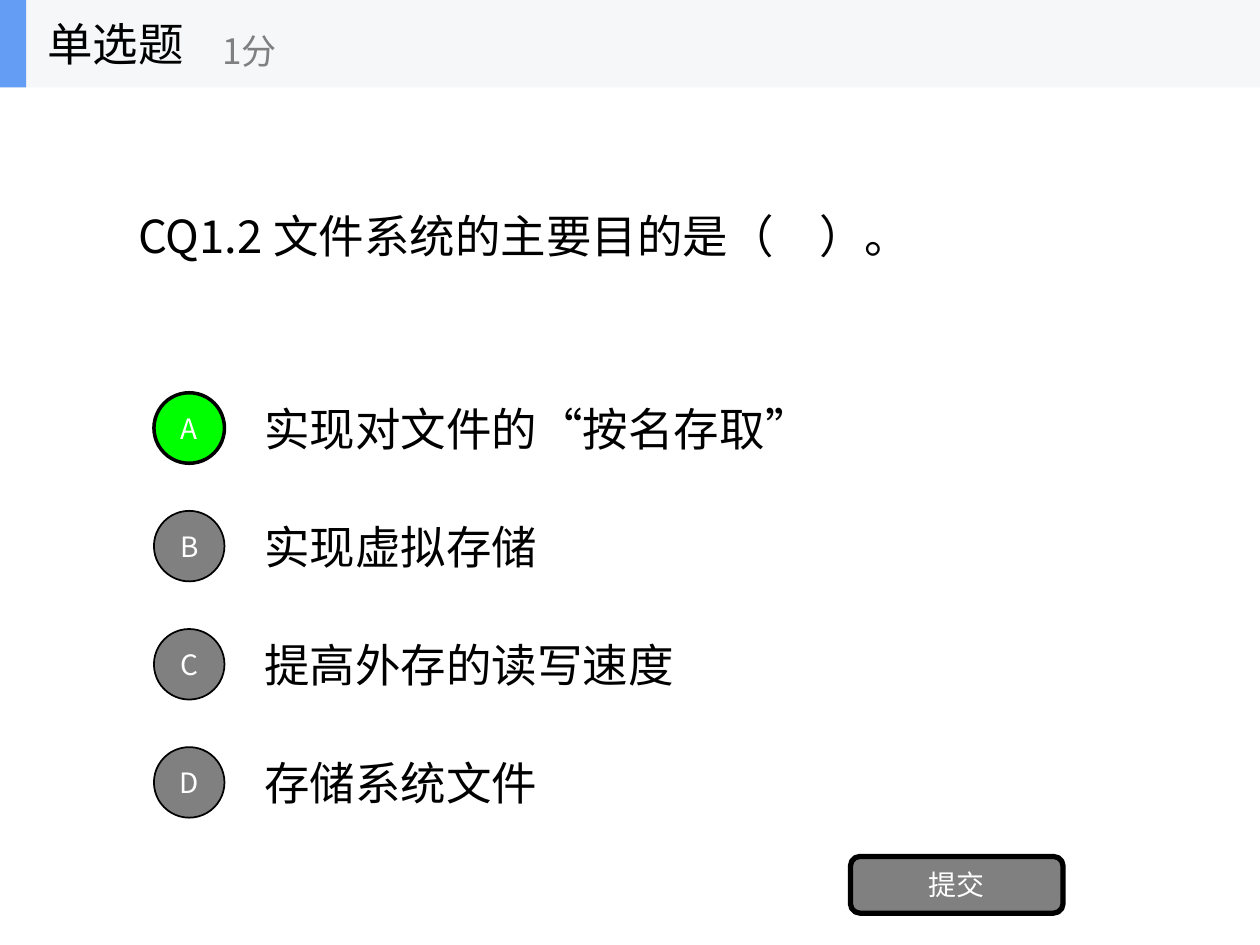
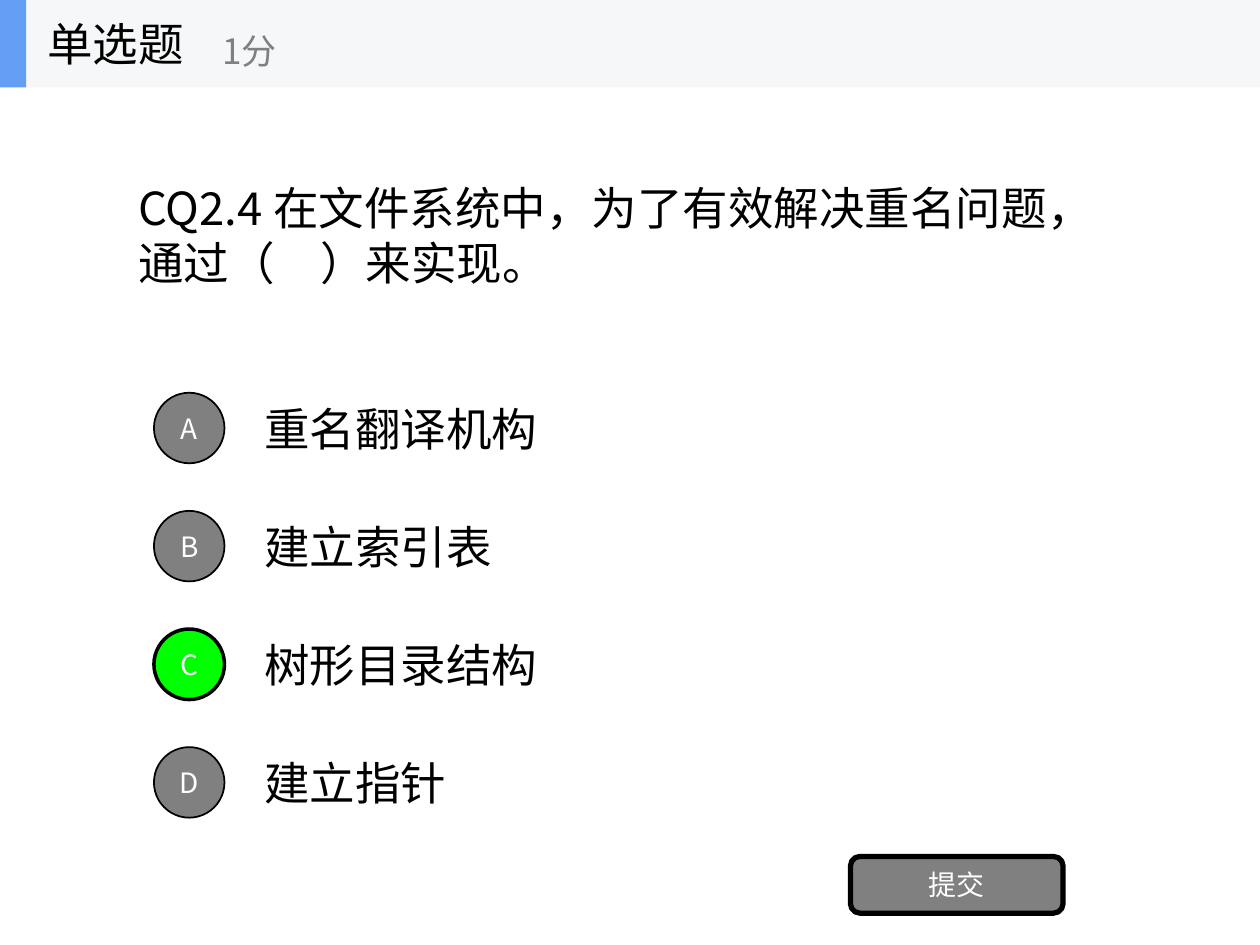
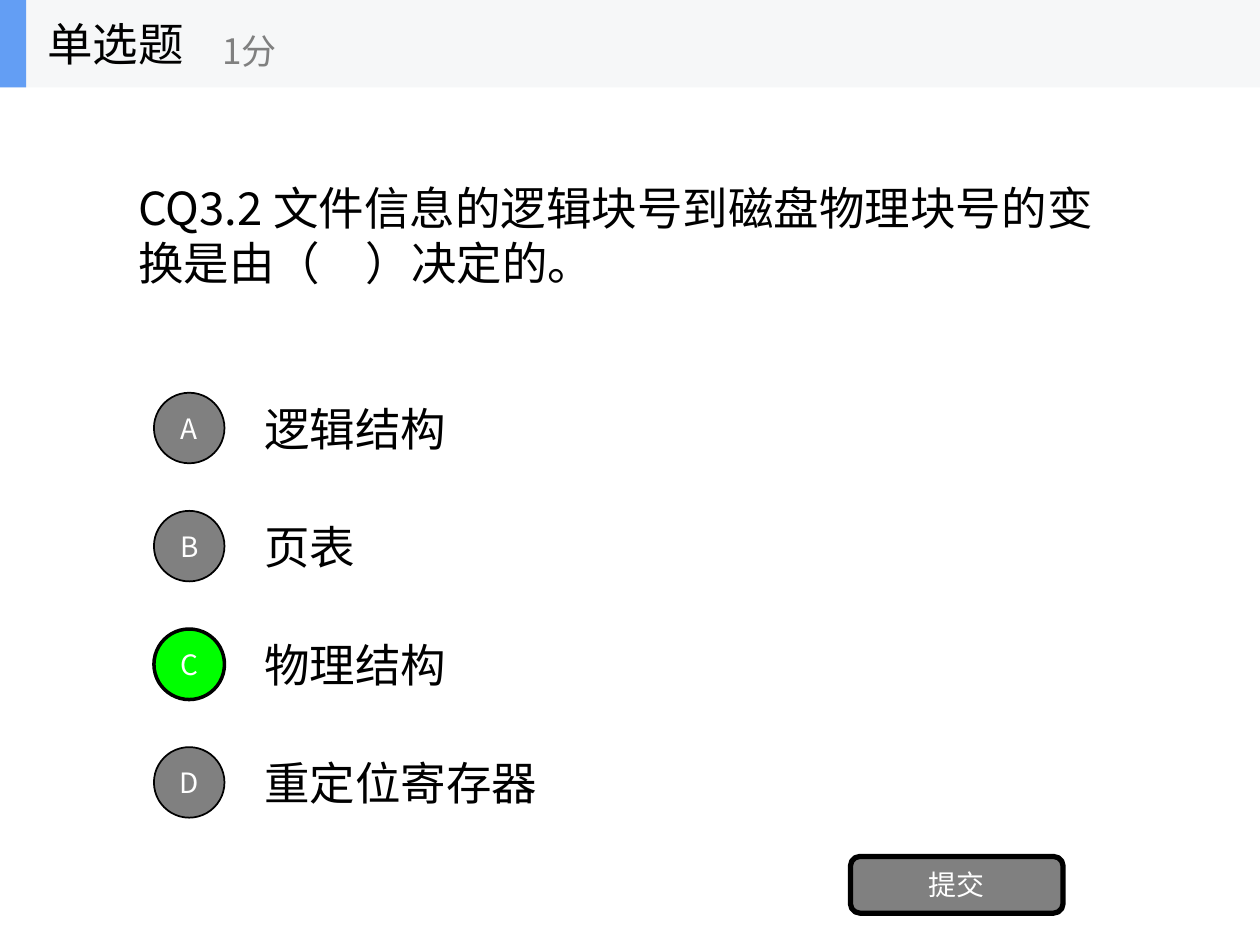
from dataclasses import dataclass

from lxml.etree import SubElement
from pptx import Presentation
from pptx.dml.color import RGBColor
from pptx.enum.lang import MSO_LANGUAGE_ID as LANG
from pptx.enum.shapes import MSO_SHAPE as SHAPE
from pptx.enum.text import MSO_ANCHOR as ANCHOR, PP_ALIGN as ALIGN
from pptx.oxml.ns import qn
from pptx.shapes.autoshape import Shape
from pptx.shapes.shapetree import GroupShapes, SlideShapes
from pptx.util import Pt


@dataclass(frozen=True)
class Theme:
    font: str = "Noto Sans CJK SC"
    ink: str = "000000"
    white: str = "FFFFFF"
    grey: str = "808080"
    correct: str = "00FF00"
    band: str = "F6F7F8"
    accent: str = "639EF4"
    body: float = 26
    score: float = 20
    label: float = 16


@dataclass(frozen=True)
class Box:
    left: float
    top: float
    width: float
    height: float

    def emu(self) -> tuple[Pt, Pt, Pt, Pt]:
        return Pt(self.left), Pt(self.top), Pt(self.width), Pt(self.height)


@dataclass(frozen=True)
class Question:
    text: str
    options: tuple[str, ...]
    answer: str


THEME = Theme()
WIDTH, HEIGHT = 720, 540
BAND_HEIGHT = 50
OPTION_TOP, OPTION_PITCH, OPTION_HEIGHT = 219.4, 67.5, 50.4
MARKER_SIZE = 40.3

QUESTIONS = (
    Question(
        "CQ1.2 文件系统的主要目的是（　）。",
        ("实现对文件的“按名存取”", "实现虚拟存储", "提高外存的读写速度", "存储系统文件"),
        "A",
    ),
    Question(
        "CQ2.4 在文件系统中，为了有效解决重名问题，通过（　）来实现。",
        ("重名翻译机构", "建立索引表", "树形目录结构", "建立指针"),
        "C",
    ),
    Question(
        "CQ3.2 文件信息的逻辑块号到磁盘物理块号的变换是由（　）决定的。",
        ("逻辑结构", "页表", "物理结构", "重定位寄存器"),
        "C",
    ),
)


def write(sp: Shape, text: str, *, size: float = THEME.body, color: str = THEME.ink,
          align: ALIGN = ALIGN.LEFT, wrap: bool = True) -> None:
    tf = sp.text_frame
    tf.word_wrap = wrap
    tf.vertical_anchor = ANCHOR.MIDDLE
    p = tf.paragraphs[0]
    p.alignment = align
    r = p.add_run()
    r.text = text
    r.font.size = Pt(size)
    r.font.name = THEME.font
    r.font.language_id = LANG.SIMPLIFIED_CHINESE
    r.font.color.rgb = RGBColor.from_string(color)
    SubElement(r.font._element, qn("a:ea"), typeface=THEME.font)


def add_text(shapes: SlideShapes | GroupShapes, box: Box, text: str, **style) -> None:
    write(shapes.add_textbox(*box.emu()), text, **style)


def add_block(shapes: SlideShapes | GroupShapes, kind: SHAPE, box: Box, fill: str,
              line: float = 0) -> Shape:
    sp = shapes.add_shape(kind, *box.emu())
    sp.shadow.inherit = False
    sp.fill.solid()
    sp.fill.fore_color.rgb = RGBColor.from_string(fill)
    if line:
        sp.line.color.rgb = RGBColor.from_string(THEME.ink)
        sp.line.width = Pt(line)
    else:
        sp.line.fill.background()
    return sp


def add_button(shapes: SlideShapes, kind: SHAPE, box: Box, text: str, fill: str,
               line: float) -> None:
    sp = add_block(shapes, kind, box, fill, line)
    write(sp, text, size=THEME.label, color=THEME.white, align=ALIGN.CENTER)


def add_header(shapes: SlideShapes) -> None:
    header = shapes.add_group_shape().shapes
    add_block(header, SHAPE.RECTANGLE, Box(0, 0, WIDTH, BAND_HEIGHT), THEME.band)
    add_block(header, SHAPE.RECTANGLE, Box(0, 0, 15, BAND_HEIGHT), THEME.accent)
    add_text(header, Box(20, 0, 150, BAND_HEIGHT), "单选题", wrap=False)
    add_text(header, Box(120, 9, 180, 40), "1分", size=THEME.score, color=THEME.grey, wrap=False)


def add_options(shapes: SlideShapes, question: Question) -> None:
    tops = [OPTION_TOP + i * OPTION_PITCH for i in range(len(question.options))]
    for top, option in zip(tops, question.options):
        add_text(shapes, Box(144, top, 504, OPTION_HEIGHT), option)
    for top, letter in zip(tops, "ABCD"):
        fill, line = (THEME.correct, 2) if letter == question.answer else (THEME.grey, 1)
        marker_top = top + (OPTION_HEIGHT - MARKER_SIZE) / 2
        add_button(shapes, SHAPE.OVAL, Box(88, marker_top, MARKER_SIZE, MARKER_SIZE),
                   letter, fill, line)


def add_question(prs: Presentation, question: Question) -> None:
    shapes = prs.slides.add_slide(prs.slide_layouts[6]).shapes
    add_text(shapes, Box(72, BAND_HEIGHT, 576, 168.5), question.text)
    add_options(shapes, question)
    add_button(shapes, SHAPE.ROUNDED_RECTANGLE, Box(486, 489.4, 121.5, 32.4),
               "提交", THEME.grey, 3)
    add_header(shapes)


def main() -> None:
    prs = Presentation()
    prs.slide_width, prs.slide_height = Pt(WIDTH), Pt(HEIGHT)
    for question in QUESTIONS:
        add_question(prs, question)
    prs.save("out.pptx")


if __name__ == "__main__":
    main()
